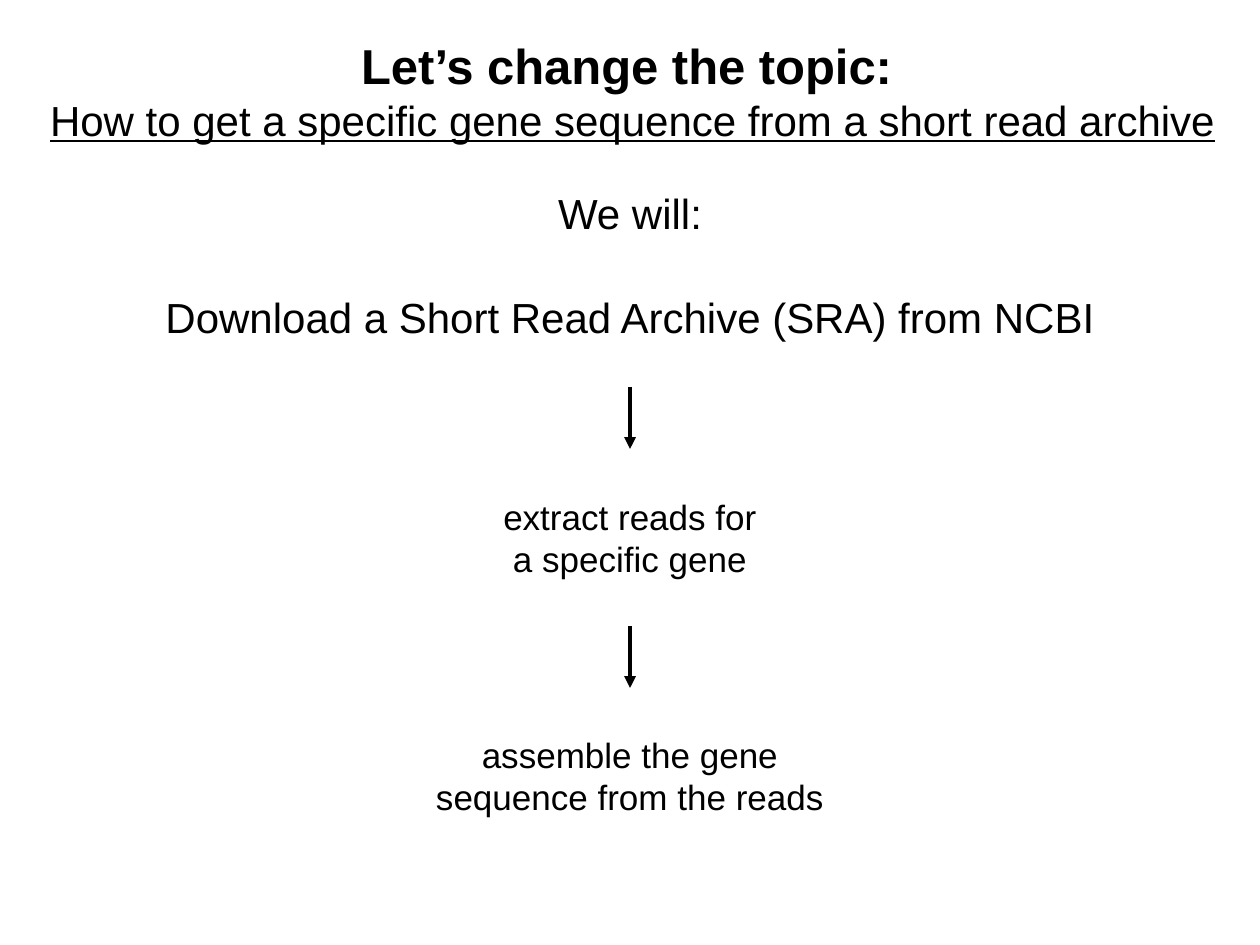
from lxml import etree
from pptx import Presentation
from pptx.dml.color import RGBColor
from pptx.enum.shapes import MSO_CONNECTOR
from pptx.enum.text import MSO_ANCHOR, MSO_AUTO_SIZE, PP_ALIGN
from pptx.oxml.ns import qn
from pptx.util import Pt

STRAIGHT = MSO_CONNECTOR.STRAIGHT
TOP = MSO_ANCHOR.TOP
FIXED = MSO_AUTO_SIZE.NONE
CENTER = PP_ALIGN.CENTER

THEME = {
    "font": "Arial",
    "ink": RGBColor(0, 0, 0),
    "heading": 28,
    "large": 24,
    "step": 20,
    "arrow": 2.25,
}
WIDTH, HEIGHT = 1260, 945

HEADING_BOX = (25, 29, 1215, 123)
HEADING = [
    [("Let’s change the topic:", "heading", {"bold": True}), (" ", "large", {})],
    [("How to get a specific gene sequence from a short read archive", "large",
      {"underline": True})],
]
STEPS = [
    (["We will:"], "large", 181, 370, 63),
    (["Download a Short Read Archive (SRA) from NCBI"], "large", 285, WIDTH, 63),
    (["extract reads for", "a specific gene"], "step", 489, 280, 97),
    (["assemble the gene", "sequence from the reads"], "step", 727, 416, 97),
]
ARROW_TOPS = [387, 626]
ARROW_LENGTH = 62


def px(length):
    return round(length * 914400 / 126)


def place(shape, box):
    for side, length in zip(("left", "top", "width", "height"), box):
        setattr(shape, side, px(length))


def write(frame, lines):
    for setting, value in {"word_wrap": True, "auto_size": FIXED,
                           "vertical_anchor": TOP}.items():
        setattr(frame, setting, value)
    for index, line in enumerate(lines):
        paragraph = frame.add_paragraph() if index else frame.paragraphs[0]
        paragraph.alignment = CENTER
        for words, size, style in line:
            run = paragraph.add_run()
            run.text = words
            run.font.color.rgb = THEME["ink"]
            formats = {"name": THEME["font"], "size": Pt(THEME[size]), "bold": False}
            for setting, value in (formats | style).items():
                setattr(run.font, setting, value)


def add_arrow(slide, top):
    middle = px(WIDTH / 2)
    arrow = slide.shapes.add_connector(
        STRAIGHT, middle, px(top), middle, px(top + ARROW_LENGTH))
    arrow.line.color.rgb = THEME["ink"]
    arrow.line.width = Pt(THEME["arrow"])
    properties = arrow.line._get_or_add_ln()
    etree.SubElement(properties, qn("a:tailEnd"), type="triangle")
    etree.SubElement(properties.getparent(), qn("a:effectLst"))


def main():
    deck = Presentation()
    deck.slide_width, deck.slide_height = px(WIDTH), px(HEIGHT)
    slide = deck.slides.add_slide(deck.slide_layouts.get_by_name("Title Only"))

    heading = slide.shapes.title
    place(heading, HEADING_BOX)
    write(heading.text_frame, HEADING)

    for lines, size, top, width, height in STEPS:
        step = slide.shapes.add_textbox(0, 0, 0, 0)
        place(step, ((WIDTH - width) / 2, top, width, height))
        write(step.text_frame, [[(words, size, {})] for words in lines])

    for top in ARROW_TOPS:
        add_arrow(slide, top)

    deck.save("out.pptx")


if __name__ == "__main__":
    main()
